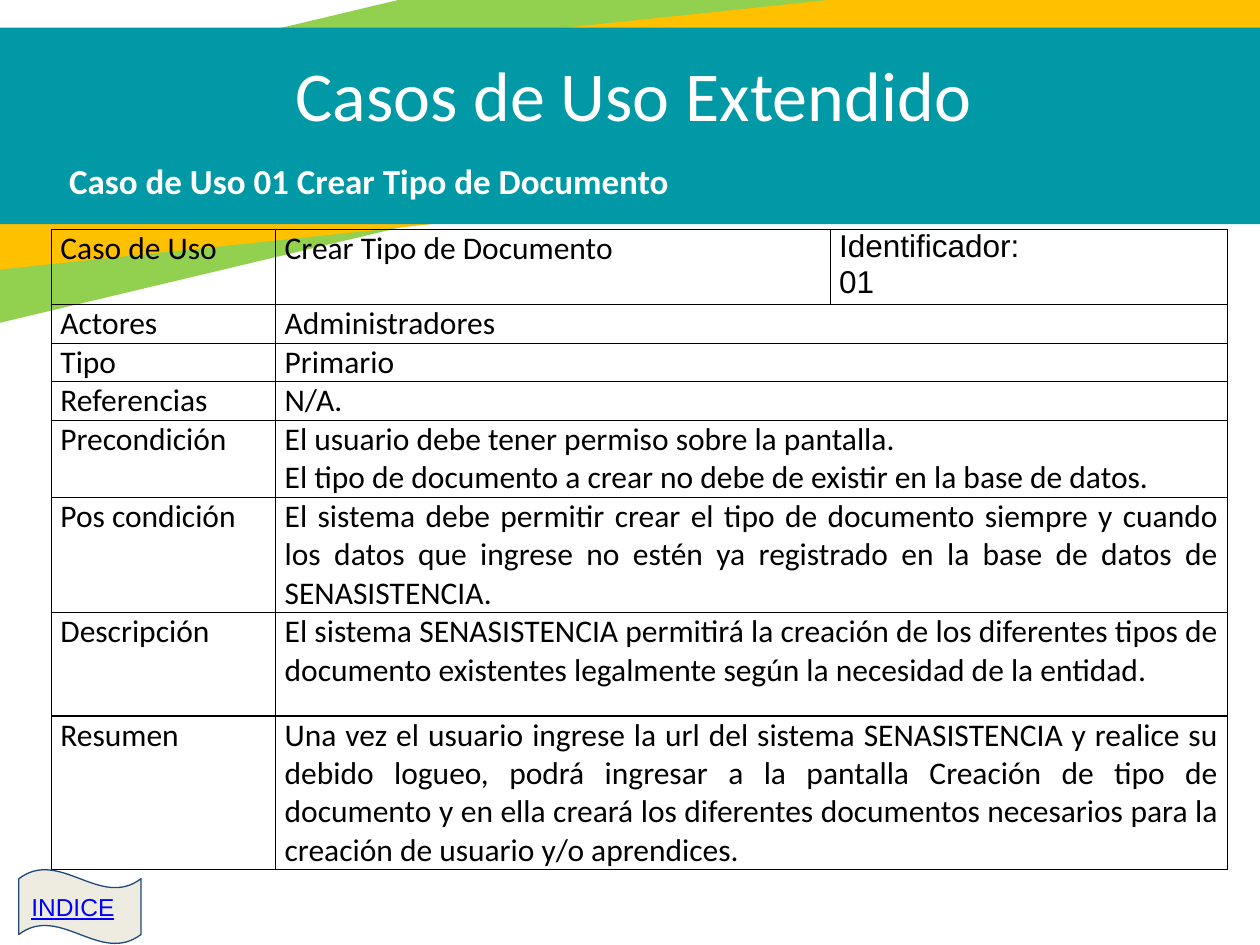
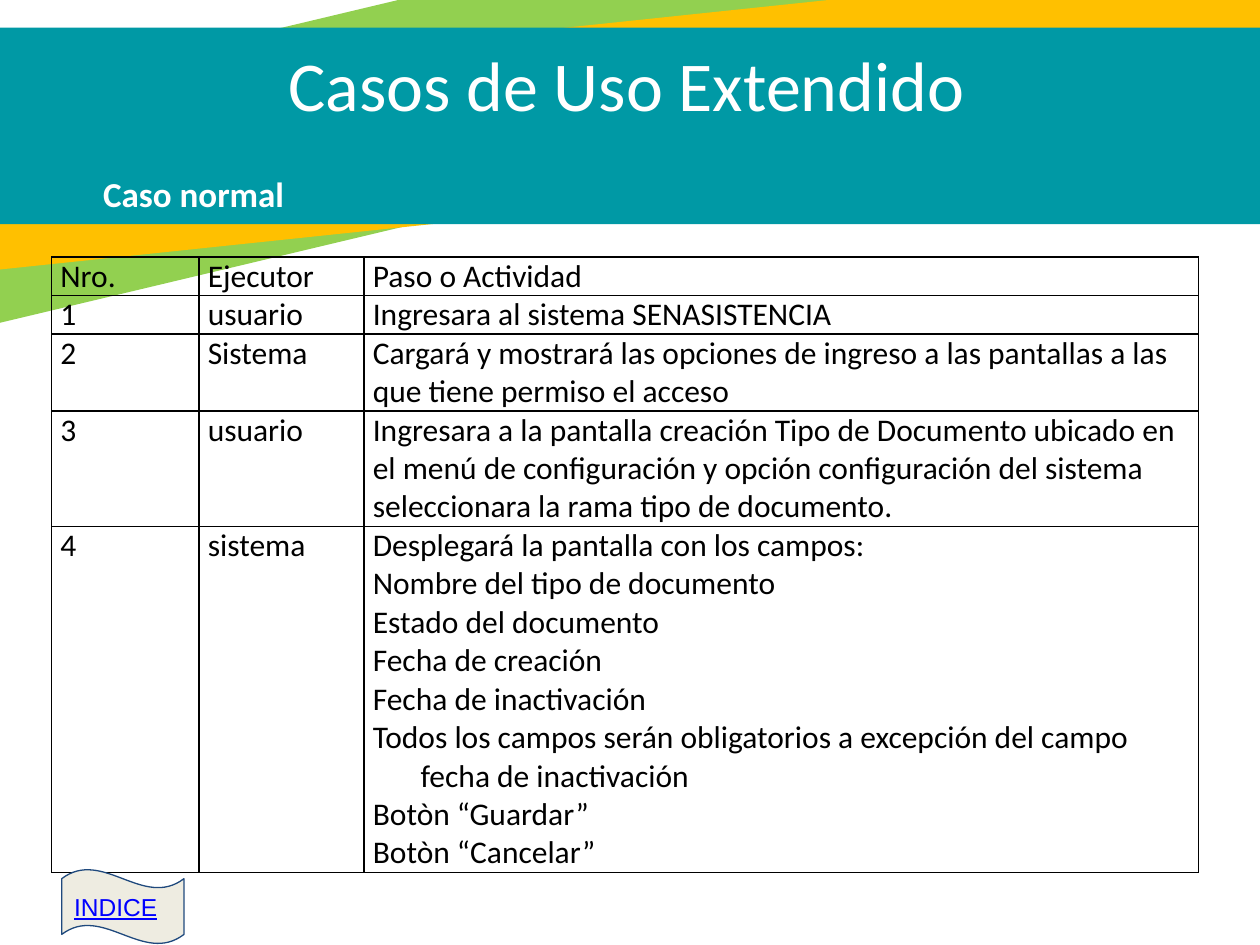
from dataclasses import dataclass, field

from lxml import etree
from pptx import Presentation
from pptx import util as u
from pptx.dml import color
from pptx.enum import shapes, text
from pptx.oxml import ns

Inches = u.Inches
ALIGN = text.PP_ALIGN


@dataclass(frozen=True)
class Theme:
    green: str = "92D050"
    amber: str = "FFC000"
    teal: str = "0099A5"
    white: str = "FFFFFF"
    black: str = "000000"
    cream: str = "EEECE1"
    navy: str = "1F497D"
    link: str = "0000FF"
    body_font: str = "Calibri"
    plain_font: str = "Arial"
    title_size: int = 40
    subtitle_size: int = 20
    table_size: int = 18
    button_size: int = 14
    line_width: float = 0.75


THEME = Theme()


@dataclass(frozen=True)
class Area:
    left: float
    top: float
    width: float
    height: float

    def lengths(self) -> list:
        return [Inches(v) for v in (self.left, self.top, self.width, self.height)]


@dataclass(frozen=True)
class Band:
    area: Area
    fill: str
    rotation: float = 0


@dataclass(frozen=True)
class Grid:
    left: float
    top: float
    columns: list
    heights: list
    rows: list  # a short row lets its last cell span the rest
    justified: set = field(default_factory=set)
    plain: set = field(default_factory=set)  # cells in the plain font
    hanging: set = field(default_factory=set)  # cells with hanging lines after the first


@dataclass(frozen=True)
class UseCasePage:
    title_area: Area
    subtitle: str
    subtitle_area: Area
    grid: Grid
    button_left: float


TITLE = "Casos de Uso Extendido"
HANGING_INDENT = Inches(0.38)
BANDS = [
    Band(Area(-2.51, -0.18, 13.06, 1.76), THEME.green, 346.6),
    Band(Area(-1.1, 0.2, 11.63, 1.44), THEME.amber, 354),
    Band(Area(-1.06, 0.22, 11.63, 1.56), THEME.teal),
]

PAGES = [
    UseCasePage(
        title_area=Area(0.84, 0.36, 8.37, 0.77),
        subtitle="Caso de Uso 01 Crear Tipo de Documento",
        subtitle_area=Area(0.45, 1.22, 6.73, 0.67),
        button_left=0.15,
        grid=Grid(
            left=0.41, top=1.82,
            columns=[1.78, 4.4, 3.15],
            heights=[0.6, 0.3, 0.3, 0.3, 0.6, 0.9, 0.82, 1.2],
            justified={0, 1, 2},
            plain={(0, 2)},
            rows=[
                ["Caso de Uso", "Crear Tipo de Documento", "Identificador:\n01"],
                ["Actores", "Administradores"],
                ["Tipo", "Primario"],
                ["Referencias", "N/A."],
                ["Precondición",
                 "El usuario debe tener permiso sobre la pantalla.\n"
                 "El tipo de documento a crear no debe de existir en la base de datos."],
                ["Pos condición",
                 "El sistema debe permitir crear el tipo de documento siempre y cuando "
                 "los datos que ingrese no estén ya registrado en la base de datos de "
                 "SENASISTENCIA."],
                ["Descripción",
                 "El sistema SENASISTENCIA permitirá la creación de los diferentes tipos "
                 "de documento existentes legalmente según la necesidad de la entidad."],
                ["Resumen",
                 "Una vez el usuario ingrese la url del sistema SENASISTENCIA y realice su "
                 "debido logueo, podrá ingresar a la pantalla Creación de tipo de "
                 "documento y en ella creará los diferentes documentos necesarios para la "
                 "creación de usuario y/o aprendices."],
            ],
        ),
    ),
    UseCasePage(
        title_area=Area(0.49, 0.28, 8.96, 0.77),
        subtitle="Caso normal",
        subtitle_area=Area(0.72, 1.32, 5, 0.44),
        button_left=0.49,
        grid=Grid(
            left=0.41, top=2.04,
            columns=[1.17, 1.31, 6.62],
            heights=[0.3, 0.3, 0.6, 0.9, 2.7],
            justified={1},
            hanging={(4, 2)},
            rows=[
                ["Nro.", "Ejecutor", "Paso o Actividad"],
                ["1", "usuario", "Ingresara al sistema SENASISTENCIA"],
                ["2", "Sistema",
                 "Cargará y mostrará las opciones de ingreso a las pantallas a las "
                 "que tiene permiso el acceso"],
                ["3", "usuario",
                 "Ingresara a la pantalla creación Tipo de Documento ubicado en "
                 "el menú de configuración y opción configuración del sistema "
                 "seleccionara la rama tipo de documento."],
                ["4", "sistema",
                 "Desplegará la pantalla con los campos:\n"
                 "Nombre del tipo de documento\n"
                 "Estado del documento\n"
                 "Fecha de creación\n"
                 "Fecha de inactivación\n"
                 "Todos los campos serán obligatorios a excepción del campo "
                 "fecha de inactivación\n"
                 "Botòn “Guardar”\n"
                 "Botòn “Cancelar”"],
            ],
        ),
    ),
]


def rgb(value: str) -> color.RGBColor:
    return color.RGBColor.from_string(value)


def write(frame, words: str, *, size: int, ink: str, font: str = THEME.body_font,
          bold: bool = False, underline: bool = False, align=ALIGN.LEFT,
          hanging: bool = False) -> None:
    """Fill a text frame, one paragraph per line."""
    for index, line in enumerate(words.split("\n")):
        para = frame.add_paragraph() if index else frame.paragraphs[0]
        para.alignment = align
        if hanging and index:
            properties = para._p.get_or_add_pPr()
            properties.set("marL", str(HANGING_INDENT))
            properties.set("indent", str(-HANGING_INDENT))
        span = para.add_run()
        span.text = line
        span.font.name, span.font.size = font, u.Pt(size)
        span.font.bold, span.font.underline = bold, underline
        span.font.color.rgb = rgb(ink)


def set_margins(target, across: float, down: float) -> None:
    target.margin_left = target.margin_right = Inches(across)
    target.margin_top = target.margin_bottom = Inches(down)


def add_filled(page, kind, area: Area, fill: str):
    shape = page.shapes.add_shape(kind, *area.lengths())
    shape.shadow.inherit = False
    shape.fill.solid()
    shape.fill.fore_color.rgb = rgb(fill)
    return shape


def share_bands(page, layout) -> None:
    """Place the bands behind everything on the shared layout."""
    for index, band in enumerate(BANDS):
        shape = add_filled(page, shapes.MSO_SHAPE.RECTANGLE, band.area, band.fill)
        shape.line.fill.background()
        shape.rotation = band.rotation
        layout.shapes.element.insert(2 + index, shape.element)


def add_heading(page, content: UseCasePage) -> None:
    title = page.shapes.title
    title.left, title.top, title.width, title.height = content.title_area.lengths()
    subtitle = page.shapes.add_textbox(*content.subtitle_area.lengths())
    for box in (title, subtitle):
        box.text_frame.word_wrap = True
        box.text_frame.auto_size = text.MSO_AUTO_SIZE.NONE
        box.text_frame.vertical_anchor = text.MSO_ANCHOR.TOP
    write(title.text_frame, TITLE, size=THEME.title_size, ink=THEME.white,
          align=ALIGN.CENTER)
    write(subtitle.text_frame, content.subtitle, size=THEME.subtitle_size,
          ink=THEME.white, bold=True)


def draw_borders(cell) -> None:
    properties = cell._tc.get_or_add_tcPr()
    for index, side in enumerate(("lnL", "lnR", "lnT", "lnB")):
        border = etree.Element(ns.qn(f"a:{side}"), w=str(u.Pt(THEME.line_width)))
        fill = etree.SubElement(border, ns.qn("a:solidFill"))
        etree.SubElement(fill, ns.qn("a:srgbClr"), val=THEME.black)
        properties.insert(index, border)


def add_grid(page, grid: Grid) -> None:
    area = Area(grid.left, grid.top, sum(grid.columns), sum(grid.heights))
    table = page.shapes.add_table(len(grid.rows), len(grid.columns),
                                  *area.lengths()).table
    table.first_row = table.horz_banding = False
    for column, width in zip(table.columns, grid.columns):
        column.width = Inches(width)
    for row, height in zip(table.rows, grid.heights):
        row.height = Inches(height)
    for cell in table.iter_cells():
        cell.fill.background()
        set_margins(cell, 0.07, 0)
        draw_borders(cell)

    last_column = len(grid.columns) - 1
    for r, entries in enumerate(grid.rows):
        if len(entries) <= last_column:
            table.cell(r, len(entries) - 1).merge(table.cell(r, last_column))
        for c, words in enumerate(entries):
            write(table.cell(r, c).text_frame, words,
                  size=THEME.table_size, ink=THEME.black,
                  font=THEME.plain_font if (r, c) in grid.plain else THEME.body_font,
                  align=ALIGN.JUSTIFY if c in grid.justified else ALIGN.LEFT,
                  hanging=(r, c) in grid.hanging)


def add_index_button(page, left: float) -> None:
    button = add_filled(page, shapes.MSO_SHAPE.WAVE, Area(left, 6.9, 0.97, 0.59),
                        THEME.cream)
    button.adjustments[0], button.adjustments[1] = 0.125, 0
    button.line.color.rgb = rgb(THEME.navy)
    button.line.width = u.Pt(THEME.line_width)
    frame = button.text_frame
    frame.word_wrap = True
    frame.vertical_anchor = text.MSO_ANCHOR.MIDDLE
    set_margins(frame, 0.1, 0.1)
    write(frame, "INDICE", size=THEME.button_size, ink=THEME.link,
          font=THEME.plain_font, underline=True)


def main() -> None:
    deck = Presentation()
    deck.slide_width, deck.slide_height = Inches(10), Inches(7.5)
    layout = deck.slide_layouts.get_by_name("Title Only")
    for number, content in enumerate(PAGES):
        page = deck.slides.add_slide(layout)
        if number == 0:
            share_bands(page, layout)
        add_heading(page, content)
        add_grid(page, content.grid)
        add_index_button(page, content.button_left)
    deck.save("out.pptx")


if __name__ == "__main__":
    main()
